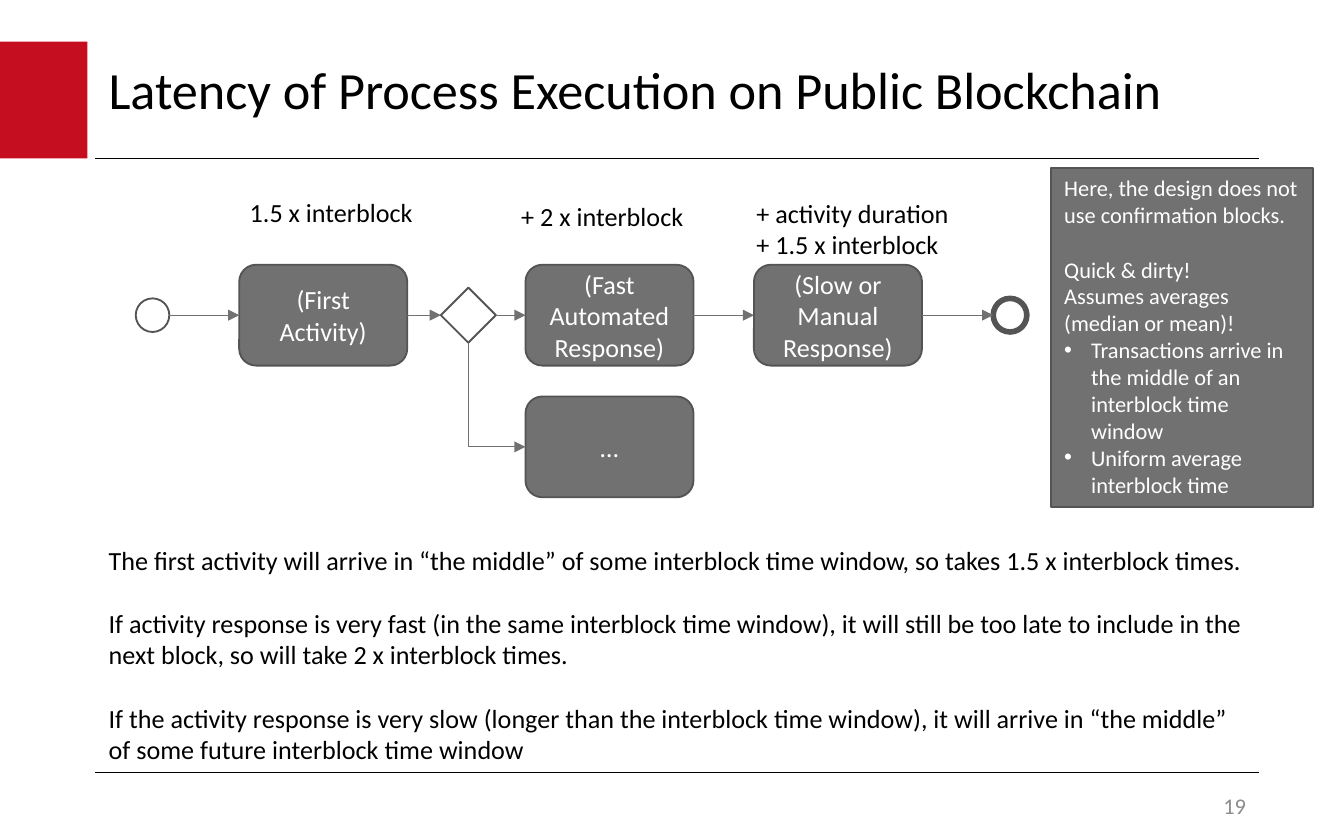
from dataclasses import dataclass

from lxml import etree
from pptx import Presentation
from pptx.dml.color import RGBColor
from pptx.enum.shapes import MSO_CONNECTOR, MSO_SHAPE
from pptx.enum.text import MSO_ANCHOR, MSO_AUTO_SIZE, PP_ALIGN
from pptx.oxml.ns import qn
from pptx.util import Pt

STRAIGHT, ELBOW = MSO_CONNECTOR.STRAIGHT, MSO_CONNECTOR.ELBOW
RECTANGLE, ROUNDED = MSO_SHAPE.RECTANGLE, MSO_SHAPE.ROUNDED_RECTANGLE
DIAMOND, OVAL = MSO_SHAPE.DIAMOND, MSO_SHAPE.OVAL
TOP, MIDDLE = MSO_ANCHOR.TOP, MSO_ANCHOR.MIDDLE
LEFT, CENTER, RIGHT = PP_ALIGN.LEFT, PP_ALIGN.CENTER, PP_ALIGN.RIGHT
FIT_TEXT = MSO_AUTO_SIZE.SHAPE_TO_FIT_TEXT


@dataclass(frozen=True)
class Theme:
    font: str = "Calibri"
    black: str = "000000"
    white: str = "FFFFFF"
    red: str = "C50E1F"
    gray: str = "717171"
    outline: str = "545454"
    muted: str = "8C8C8C"
    title: int = 28
    body: int = 14
    small: int = 12
    line_height: float = 1.22


THEME = Theme()
EMU_PER_PX = 9144
SLIDE_SIZE = (1000, 625)
RULE_X = (71, 937)
RULE_YS = (118, 575)
ACCENT_BOX = (0, 31, 65, 87)
TITLE_BOX = (71, 33, 866, 71)
NUMBER_BOX = (734, 587, 203, 25)
BODY_BOX = (71, 400, 865, 176)
NOTE_BOX = (782, 125, 195, 252)
ACTIVITY_SIZE = (125, 75)
EVENT_SIZE = (25, 25)
GATEWAY_SIZE = (41, 41)
FLOW_TOP, BRANCH_TOP = 197, 295
EVENT_TOP, GATEWAY_TOP = 222, 214
BULLET_INDENT = 20
BOTTOM_SITE, RIGHT_SITE, OVAL_RIGHT_SITE = 2, 3, 6
LEFT_SITE, OVAL_LEFT_SITE = 1, 2

TITLE = "Latency of Process Execution on Public Blockchain"
SLIDE_NUMBER = "19"
ACTIVITIES = {
    "first": ("(First Activity)", 178, FLOW_TOP),
    "fast": ("(Fast Automated Response)", 391, FLOW_TOP),
    "other": ("…", 391, BRANCH_TOP),
    "slow": ("(Slow or Manual Response)", 561, FLOW_TOP),
}
EVENTS = {"start": (101, 1), "end": (739, 3)}
GATEWAY_X = 328
FLOWS = [
    ("start", "first"),
    ("first", "gateway"),
    ("gateway", "fast"),
    ("fast", "slow"),
    ("slow", "end"),
]
LABELS = [
    ("1.5 x interblock", (176, 141, 143, 34)),
    ("+ 2 x interblock", (378, 144, 142, 34)),
    ("+ activity duration\n+ 1.5 x interblock", (553, 142, 165, 57)),
]
BODY = [
    ("The first activity will arrive in “the middle” of some interblock time window, "
     "so takes 1.5 x interblock times.", "plain"),
    ("If activity response is very fast (in the same interblock time window), it will "
     "still be too late to include in the next block, so will take 2 x interblock times.", "gap"),
    ("If the activity response is very slow (longer than the interblock time window), it "
     "will arrive in “the middle” of some future interblock time window", "gap"),
]
NOTE = [
    ("Here, the design does not use confirmation blocks.", "plain"),
    ("Quick & dirty!", "gap"),
    ("Assumes averages (median or mean)!", "plain"),
    ("Transactions arrive in the middle of an interblock time window", "bullet"),
    ("Uniform average interblock time", "bullet"),
]


def px(*values):
    return [round(value * EMU_PER_PX) for value in values]


def color(value):
    return RGBColor.from_string(value)


def write(shape, paragraphs, size, ink, align=LEFT, anchor=TOP, wrap=True):
    frame = shape.text_frame
    frame.word_wrap = wrap
    frame.vertical_anchor = anchor
    for index, (text, style) in enumerate(paragraphs):
        paragraph = frame.add_paragraph() if index else frame.paragraphs[0]
        paragraph.alignment = align
        if style == "gap":
            paragraph.space_before = Pt(round(size * THEME.line_height, 1))
        if style == "bullet":
            properties = paragraph._p.get_or_add_pPr()
            indent, = px(BULLET_INDENT)
            properties.set("marL", str(indent))
            properties.set("indent", str(-indent))
            etree.SubElement(properties, qn("a:buFont")).set("typeface", "Arial")
            etree.SubElement(properties, qn("a:buChar")).set("char", "•")
        for line_index, line in enumerate(text.split("\n")):
            if line_index:
                paragraph.add_line_break()
            run = paragraph.add_run()
            run.text = line
            run.font.name = THEME.font
            run.font.size = Pt(size)
            run.font.color.rgb = color(ink)
    return frame


def add_text(slide, box, paragraphs, size, ink=THEME.black, **options):
    return write(slide.shapes.add_textbox(*px(*box)), paragraphs, size, ink, **options)


def add_shape(slide, kind, box, fill, line_width=1):
    shape = slide.shapes.add_shape(kind, *px(*box))
    shape.shadow.inherit = False
    shape.fill.solid()
    shape.fill.fore_color.rgb = color(fill)
    if line_width:
        shape.line.color.rgb = color(THEME.outline)
        shape.line.width = Pt(line_width)
    else:
        shape.line.fill.background()
    return shape


def add_line(slide, points, ink, width, kind=STRAIGHT, arrow=False):
    connector = slide.shapes.add_connector(kind, *px(*points))
    connector.line.color.rgb = color(ink)
    connector.line.width = Pt(width)
    if arrow:
        line = connector.line._get_or_add_ln()
        etree.SubElement(line, qn("a:tailEnd")).set("type", "triangle")
    etree.SubElement(connector._element.spPr, qn("a:effectLst"))
    return connector


def add_flow(slide, source, target):
    connector = add_line(slide, (0, 0, 0, 0), THEME.gray, 0.5, arrow=True)
    connector.begin_connect(source, RIGHT_SITE)
    if source.auto_shape_type == OVAL:
        connector._element.find(".//" + qn("a:stCxn")).set("idx", str(OVAL_RIGHT_SITE))
    target_site = OVAL_LEFT_SITE if target.auto_shape_type == OVAL else LEFT_SITE
    connector.end_connect(target, target_site)
    middle = source.top + source.height // 2
    connector.begin_x, connector.begin_y = source.left + source.width, middle
    connector.end_x, connector.end_y = target.left, middle


def add_branch(slide, source, target):
    connector = add_line(slide, (0, 0, 0, 0), THEME.gray, 0.5, ELBOW, arrow=True)
    connector.begin_connect(source, BOTTOM_SITE)
    connector.end_connect(target, LEFT_SITE)
    start_x, start_y = source.left + source.width // 2, source.top + source.height
    across = target.left - start_x
    down = target.top + target.height // 2 - start_y
    connector.left = start_x + (across - down) // 2
    connector.top = start_y + (down - across) // 2
    connector.width, connector.height = down, across
    properties = connector._element.spPr
    properties.find(qn("a:prstGeom")).set("prst", "bentConnector2")
    transform = properties.find(qn("a:xfrm"))
    transform.set("rot", "16200000")
    transform.set("flipH", "1")


def main():
    presentation = Presentation()
    presentation.slide_width, presentation.slide_height = px(*SLIDE_SIZE)
    slide = presentation.slides.add_slide(presentation.slide_layouts[6])

    add_shape(slide, RECTANGLE, ACCENT_BOX, THEME.red, 0)
    for y in RULE_YS:
        add_line(slide, (RULE_X[0], y, RULE_X[1], y), THEME.black, 0.75)
    title = add_text(slide, TITLE_BOX, [(TITLE, "plain")], THEME.title, anchor=MIDDLE)
    title.paragraphs[0].line_spacing = 0.9
    add_text(slide, NUMBER_BOX, [(SLIDE_NUMBER, "plain")], THEME.small, THEME.muted,
             align=RIGHT, anchor=MIDDLE)

    nodes = {}
    for name, (text, left, top) in ACTIVITIES.items():
        nodes[name] = add_shape(slide, ROUNDED, (left, top, *ACTIVITY_SIZE), THEME.gray)
        write(nodes[name], [(text, "plain")], THEME.body, THEME.white, CENTER, MIDDLE)
    for name, (left, width) in EVENTS.items():
        nodes[name] = add_shape(slide, OVAL, (left, EVENT_TOP, *EVENT_SIZE), THEME.white, width)
    nodes["gateway"] = add_shape(
        slide, DIAMOND, (GATEWAY_X, GATEWAY_TOP, *GATEWAY_SIZE), THEME.white)
    for source, target in FLOWS:
        add_flow(slide, nodes[source], nodes[target])
    add_branch(slide, nodes["gateway"], nodes["other"])

    for text, box in LABELS:
        label = add_text(slide, box, [(text, "plain")], THEME.body, wrap=False)
        label.auto_size = FIT_TEXT
    add_text(slide, BODY_BOX, BODY, THEME.body)
    note = add_shape(slide, RECTANGLE, NOTE_BOX, THEME.gray)
    write(note, NOTE, THEME.small, THEME.white)

    presentation.save("out.pptx")


if __name__ == "__main__":
    main()
